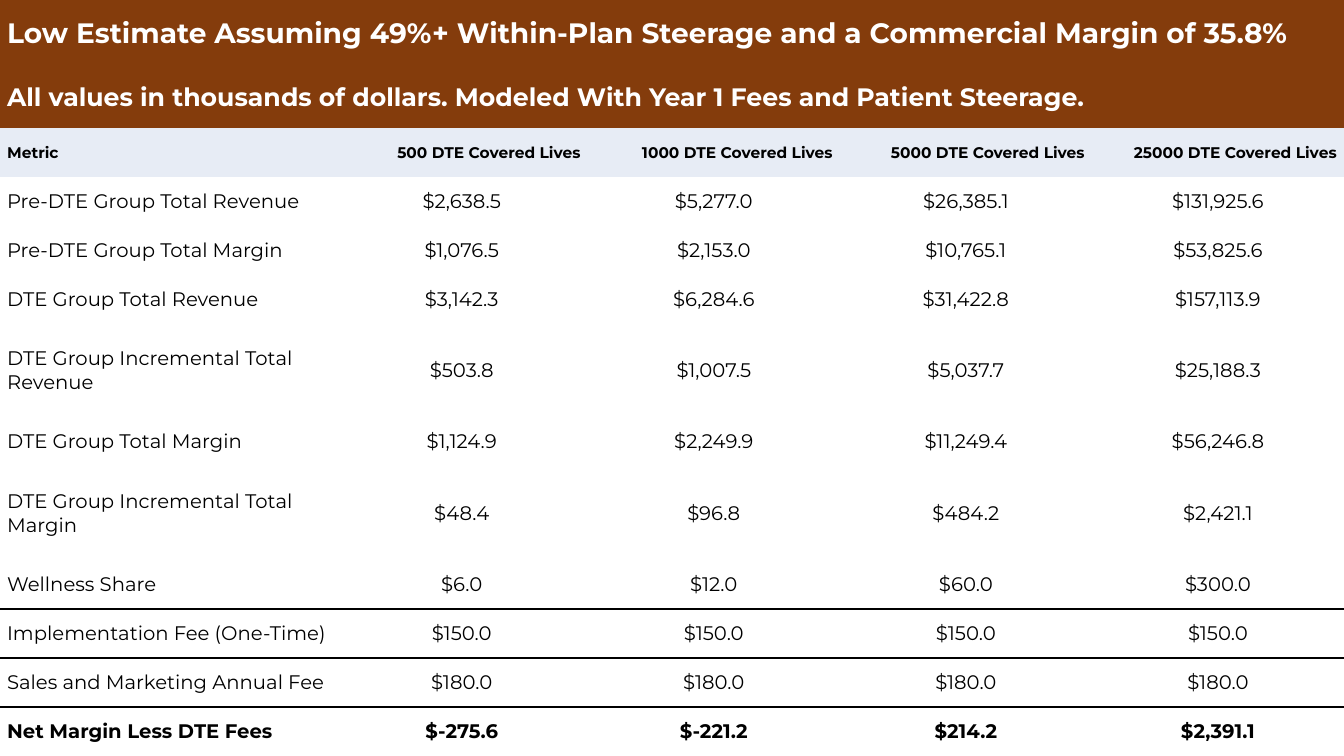
"""Build the low-estimate DTE margin table slide."""
from dataclasses import dataclass

from lxml import etree
from pptx import Presentation
from pptx.dml.color import RGBColor
from pptx.enum.text import MSO_ANCHOR, PP_ALIGN
from pptx.oxml.ns import qn
from pptx.util import Inches, Pt

LEFT, CENTER, RIGHT = PP_ALIGN.LEFT, PP_ALIGN.CENTER, PP_ALIGN.RIGHT
MIDDLE = MSO_ANCHOR.MIDDLE
NO_STYLE_NO_GRID = "{2D5ABB26-0587-4C30-8999-92F81FD0307C}"


@dataclass(frozen=True)
class Theme:
    font: str = "Montserrat"
    banner: str = "843C0C"
    header: str = "E7ECF5"
    light: str = "FFFFFF"
    ink: str = "000000"
    title_size: int = 20
    subtitle_size: int = 18
    header_size: int = 11
    body_size: int = 14


theme = Theme()

BANNERS = [
    ("Low Estimate Assuming 49%+ Within-Plan Steerage and a Commercial Margin of 35.8%", theme.title_size),
    ("All values in thousands of dollars. Modeled With Year 1 Fees and Patient Steerage.", theme.subtitle_size),
]
HEADINGS = ["Metric"] + [f"{lives} DTE Covered Lives" for lives in (500, 1000, 5000, 25000)]
METRICS = [
    ("Pre-DTE Group Total Revenue", "$2,638.5", "$5,277.0", "$26,385.1", "$131,925.6"),
    ("Pre-DTE Group Total Margin", "$1,076.5", "$2,153.0", "$10,765.1", "$53,825.6"),
    ("DTE Group Total Revenue", "$3,142.3", "$6,284.6", "$31,422.8", "$157,113.9"),
    ("DTE Group Incremental Total Revenue", "$503.8", "$1,007.5", "$5,037.7", "$25,188.3"),
    ("DTE Group Total Margin", "$1,124.9", "$2,249.9", "$11,249.4", "$56,246.8"),
    ("DTE Group Incremental Total Margin", "$48.4", "$96.8", "$484.2", "$2,421.1"),
    ("Wellness Share", "$6.0", "$12.0", "$60.0", "$300.0"),
    ("Implementation Fee (One-Time)", "$150.0", "$150.0", "$150.0", "$150.0"),
    ("Sales and Marketing Annual Fee", "$180.0", "$180.0", "$180.0", "$180.0"),
    ("Net Margin Less DTE Fees", "$-275.6", "$-221.2", "$214.2", "$2,391.1"),
]
RULED_BELOW = ("Wellness Share", "Sales and Marketing Annual Fee")
PAGE_WIDTH, PAGE_HEIGHT = 13.33, 7.5
METRIC_WIDTH, LIVES_WIDTH = 3.33, 2.5
BANNER_HEIGHTS = [0.67, 0.6]
TALL_ROW = 0.93


def write_cell(cell, text, size, color, align, bold=False, fill=None):
    cell.margin_left = cell.margin_right = cell.margin_top = cell.margin_bottom = 0
    cell.vertical_anchor = MIDDLE
    if fill:
        cell.fill.solid()
        cell.fill.fore_color.rgb = RGBColor.from_string(fill)
    else:
        cell.fill.background()
    para = cell.text_frame.paragraphs[0]
    para.alignment = align
    for side in ("marL", "marR"):
        para._p.get_or_add_pPr().set(side, str(Inches(0.07)))
    span = para.add_run()
    span.text = text
    span.font.name = theme.font
    span.font.size = Pt(size)
    span.font.bold = bold
    span.font.color.rgb = RGBColor.from_string(color)


def rule_cell(cell, edge):
    line = etree.Element(qn(f"a:{edge}"), w=str(Pt(1)))
    solid = etree.SubElement(line, qn("a:solidFill"))
    etree.SubElement(solid, qn("a:srgbClr"), val=theme.ink)
    cell._tc.get_or_add_tcPr().insert(0, line)


deck = Presentation()
deck.slide_width, deck.slide_height = Inches(PAGE_WIDTH), Inches(PAGE_HEIGHT)
page = deck.slides.add_slide(deck.slide_layouts[6])

row_count = len(BANNERS) + 1 + len(METRICS)
frame = page.shapes.add_table(row_count, len(HEADINGS), 0, 0, Inches(PAGE_WIDTH), Inches(PAGE_HEIGHT))
table = frame.table
table.first_row = table.horz_banding = False
frame.element.xpath(".//a:tableStyleId")[0].text = NO_STYLE_NO_GRID

for index, column in enumerate(table.columns):
    column.width = Inches(LIVES_WIDTH if index else METRIC_WIDTH)

tall_rows = ["Incremental" in metric[0] for metric in METRICS]
plain_count = 1 + tall_rows.count(False)
plain_row = (PAGE_HEIGHT - sum(BANNER_HEIGHTS) - TALL_ROW * sum(tall_rows)) / plain_count
heights = BANNER_HEIGHTS + [plain_row] + [TALL_ROW if tall else plain_row for tall in tall_rows]
for row, height in zip(table.rows, heights):
    row.height = Inches(height)

for row_index, (text, size) in enumerate(BANNERS):
    banner = table.cell(row_index, 0)
    banner.merge(table.cell(row_index, len(HEADINGS) - 1))
    write_cell(banner, text, size, theme.light, LEFT, True, theme.banner)

for column_index, heading in enumerate(HEADINGS):
    align = RIGHT if column_index else LEFT
    write_cell(table.cell(len(BANNERS), column_index), heading, theme.header_size,
               theme.ink, align, True, theme.header)

for row_index, metric in enumerate(METRICS, len(BANNERS) + 1):
    is_total = metric == METRICS[-1]
    for column_index, text in enumerate(metric):
        align = CENTER if column_index else LEFT
        write_cell(table.cell(row_index, column_index), text, theme.body_size, theme.ink, align, is_total)
        if metric[0] in RULED_BELOW:
            rule_cell(table.cell(row_index, column_index), "lnB")
            rule_cell(table.cell(row_index + 1, column_index), "lnT")

deck.save("out.pptx")
